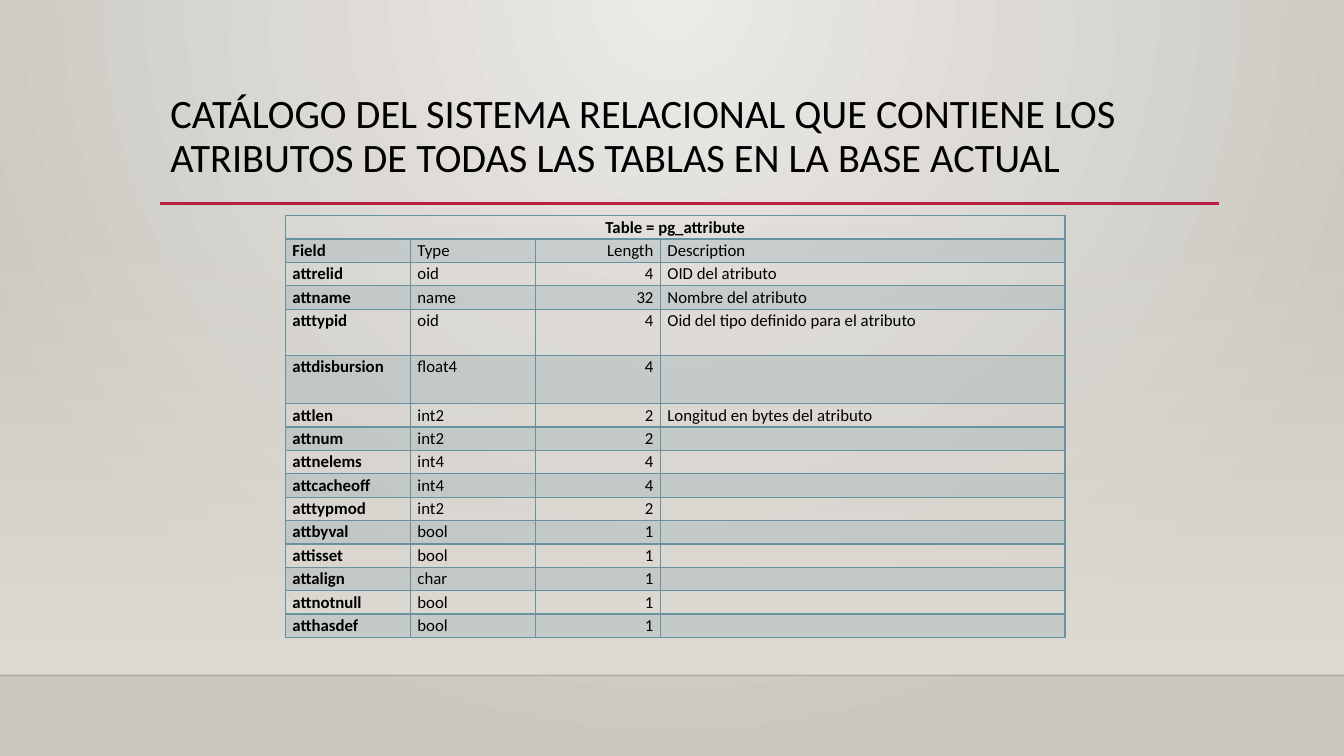
from dataclasses import dataclass

from lxml import etree
from pptx import Presentation
from pptx.dml.color import RGBColor
from pptx.enum.shapes import MSO_CONNECTOR, MSO_SHAPE
from pptx.enum.text import MSO_ANCHOR, MSO_AUTO_SIZE, PP_ALIGN
from pptx.oxml.ns import qn
from pptx.slide import Slide
from pptx.table import _Cell
from pptx.text.text import TextFrame
from pptx.util import Pt

LEFT, CENTER, RIGHT = PP_ALIGN.LEFT, PP_ALIGN.CENTER, PP_ALIGN.RIGHT
ANCHOR_TOP, NO_AUTOFIT = MSO_ANCHOR.TOP, MSO_AUTO_SIZE.NONE
STRAIGHT, RECTANGLE = MSO_CONNECTOR.STRAIGHT, MSO_SHAPE.RECTANGLE


@dataclass(frozen=True)
class Theme:
    font: str = "Calibri"
    title_size: float = 28.8
    table_size: float = 12
    text: str = "000000"
    accent: str = "B71E42"
    table: str = "6892A0"
    floor: str = "DFDBD5"
    floor_edge: str = "000001"
    glow: str = "ECEAE7"
    backdrop: str = "CAC7C1"


@dataclass(frozen=True)
class Rule:
    left: float
    right: float
    y: float
    color: str
    width: float
    opacity: int = 100


@dataclass(frozen=True)
class Field:
    name: str
    type: str
    length: str
    description: str = ""
    height: float = 16.7


THEME = Theme()
SLIDE_WIDTH, SLIDE_HEIGHT = 960, 540
FLOOR_TOP, FLOOR_BOTTOM = 159.12, 482.4
RULES = [
    Rule(0, SLIDE_WIDTH, FLOOR_BOTTOM, THEME.floor_edge, 1, opacity=20),
    Rule(114.5, 871, 145.3, THEME.accent, 2.5),
]
TITLE = ("CATÁLOGO DEL SISTEMA RELACIONAL QUE CONTIENE LOS "
         "ATRIBUTOS DE TODAS LAS TABLAS EN LA BASE ACTUAL")
COLUMN_WIDTHS = [89.3, 89.3, 89.3, 289]
COLUMN_ALIGNMENTS = [LEFT, LEFT, RIGHT, LEFT]
FIELDS = [
    Field("Table = pg_attribute", "", ""),
    Field("Field", "Type", "Length", "Description"),
    Field("attrelid", "oid", "4", "OID del atributo"),
    Field("attname", "name", "32", "Nombre del atributo"),
    Field("atttypid", "oid", "4", "Oid del tipo definido para el atributo", height=33),
    Field("attdisbursion", "float4", "4", height=34.5),
    Field("attlen", "int2", "2", "Longitud en bytes del atributo"),
    Field("attnum", "int2", "2"),
    Field("attnelems", "int4", "4"),
    Field("attcacheoff", "int4", "4"),
    Field("atttypmod", "int2", "2"),
    Field("attbyval", "bool", "1"),
    Field("attisset", "bool", "1"),
    Field("attalign", "char", "1"),
    Field("attnotnull", "bool", "1"),
    Field("atthasdef", "bool", "1"),
]


def write_text(frame: TextFrame, text: str, *, size: float, bold: bool = False,
               alignment: PP_ALIGN = LEFT, spacing: float = 1.0) -> None:
    paragraph = frame.paragraphs[0]
    paragraph.alignment = alignment
    paragraph.line_spacing = spacing
    if not text:
        # An empty paragraph takes its height from its end mark
        end_mark = etree.SubElement(paragraph._p, qn("a:endParaRPr"))
        end_mark.set("sz", str(round(size * 100)))
        return
    run = paragraph.add_run()
    run.text = text
    run.font.name = THEME.font
    run.font.size = Pt(size)
    run.font.bold = bold
    run.font.color.rgb = RGBColor.from_string(THEME.text)


def set_opacity(color: etree._Element, percent: int) -> None:
    etree.SubElement(color, qn("a:alpha")).set("val", str(percent * 1000))


def paint_background(slide: Slide) -> None:
    fill = slide.background.fill
    fill.gradient()
    for stop, color in zip(fill.gradient_stops, (THEME.glow, THEME.backdrop)):
        stop.color.rgb = RGBColor.from_string(color)
    # Radial glow from the top centre
    gradient = next(slide.element.iter(qn("a:gradFill")))
    gradient.remove(gradient.find(qn("a:lin")))
    radial = etree.SubElement(gradient, qn("a:path"), {"path": "circle"})
    focus = {"l": "43000", "t": "0", "r": "43000", "b": "100000"}
    etree.SubElement(radial, qn("a:fillToRect"), focus)


def add_floor(slide: Slide) -> None:
    floor = slide.shapes.add_shape(RECTANGLE, 0, Pt(FLOOR_TOP), Pt(SLIDE_WIDTH),
                                   Pt(FLOOR_BOTTOM - FLOOR_TOP))
    floor.shadow.inherit = False
    floor.line.fill.background()
    floor.fill.gradient()
    floor.fill.gradient_angle = 270
    for stop in floor.fill.gradient_stops:
        stop.color.rgb = RGBColor.from_string(THEME.floor)
    set_opacity(next(floor._element.spPr.iter(qn("a:srgbClr"))), 0)


def add_rule(slide: Slide, rule: Rule) -> None:
    connector = slide.shapes.add_connector(
        STRAIGHT, Pt(rule.left), Pt(rule.y), Pt(rule.right), Pt(rule.y))
    connector.line.color.rgb = RGBColor.from_string(rule.color)
    connector.line.width = Pt(rule.width)
    properties = connector._element.spPr
    if rule.opacity < 100:
        set_opacity(next(properties.iter(qn("a:srgbClr"))), rule.opacity)
    etree.SubElement(properties, qn("a:effectLst"))


def format_title(slide: Slide) -> None:
    title = slide.shapes.title
    title.left, title.top = Pt(114.5), Pt(63.4)
    title.width, title.height = Pt(790.5), Pt(82.8)
    frame = title.text_frame
    frame.word_wrap = True
    frame.auto_size = NO_AUTOFIT
    frame.vertical_anchor = ANCHOR_TOP
    write_text(frame, TITLE, size=THEME.title_size, spacing=0.9)


def format_cell(cell: _Cell, row: int) -> None:
    cell.margin_left = cell.margin_right = Pt(5)
    cell.margin_top = cell.margin_bottom = 0
    properties = cell._tc.get_or_add_tcPr()
    # The edge below the heading row is heavier
    widths = {"L": 1, "R": 1, "T": 2 if row == 1 else 1, "B": 2 if row == 0 else 1}
    for side, width in widths.items():
        border = etree.SubElement(properties, qn(f"a:ln{side}"), {"w": str(Pt(width))})
        solid = etree.SubElement(border, qn("a:solidFill"))
        etree.SubElement(solid, qn("a:srgbClr"), {"val": THEME.table})
    if row % 2:
        cell.fill.solid()
        cell.fill.fore_color.rgb = RGBColor.from_string(THEME.table)
        set_opacity(properties.find(f"{qn('a:solidFill')}/{qn('a:srgbClr')}"), 20)
    else:
        cell.fill.background()


def add_field_table(slide: Slide) -> None:
    frame = slide.shapes.add_table(
        len(FIELDS), len(COLUMN_WIDTHS), Pt(203.9), Pt(154.1),
        Pt(sum(COLUMN_WIDTHS)), Pt(sum(field.height for field in FIELDS)))
    table = frame.table
    table.first_row = table.horz_banding = False
    for column, width in zip(table.columns, COLUMN_WIDTHS):
        column.width = Pt(width)
    for row, field in enumerate(FIELDS):
        table.rows[row].height = Pt(field.height)
        texts = (field.name, field.type, field.length, field.description)
        for column, text in enumerate(texts):
            cell = table.cell(row, column)
            format_cell(cell, row)
            alignment = CENTER if row == 0 else COLUMN_ALIGNMENTS[column]
            write_text(cell.text_frame, text, size=THEME.table_size,
                       bold=column == 0, alignment=alignment, spacing=1.07)
    table.cell(0, 0).merge(table.cell(0, len(COLUMN_WIDTHS) - 1))


def main() -> None:
    presentation = Presentation()
    presentation.slide_width = Pt(SLIDE_WIDTH)
    presentation.slide_height = Pt(SLIDE_HEIGHT)
    slide = presentation.slides.add_slide(presentation.slide_layouts[5])
    # Backdrop
    paint_background(slide)
    add_floor(slide)
    for rule in RULES:
        add_rule(slide, rule)
    # Content
    format_title(slide)
    add_field_table(slide)
    presentation.save("out.pptx")


if __name__ == "__main__":
    main()
